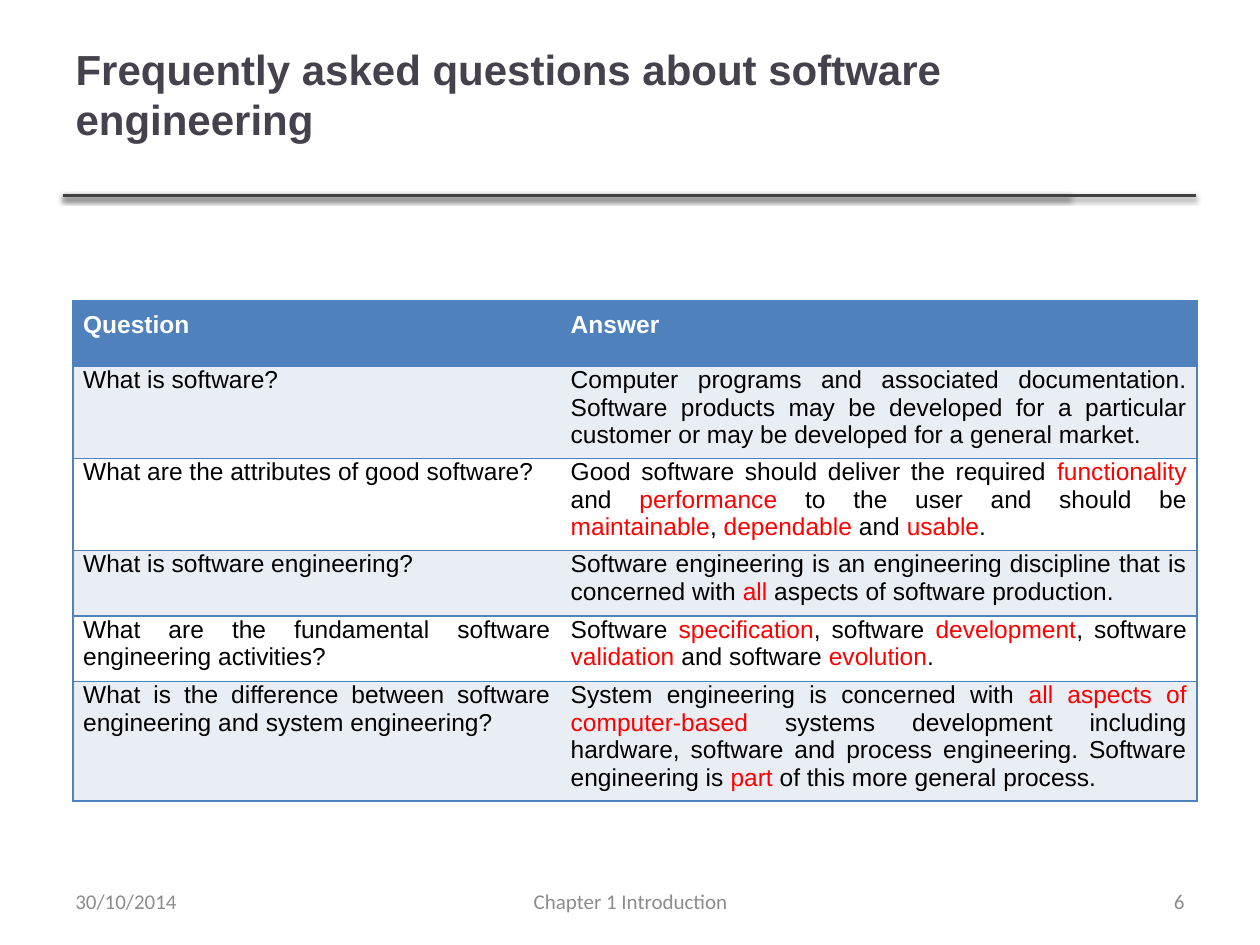
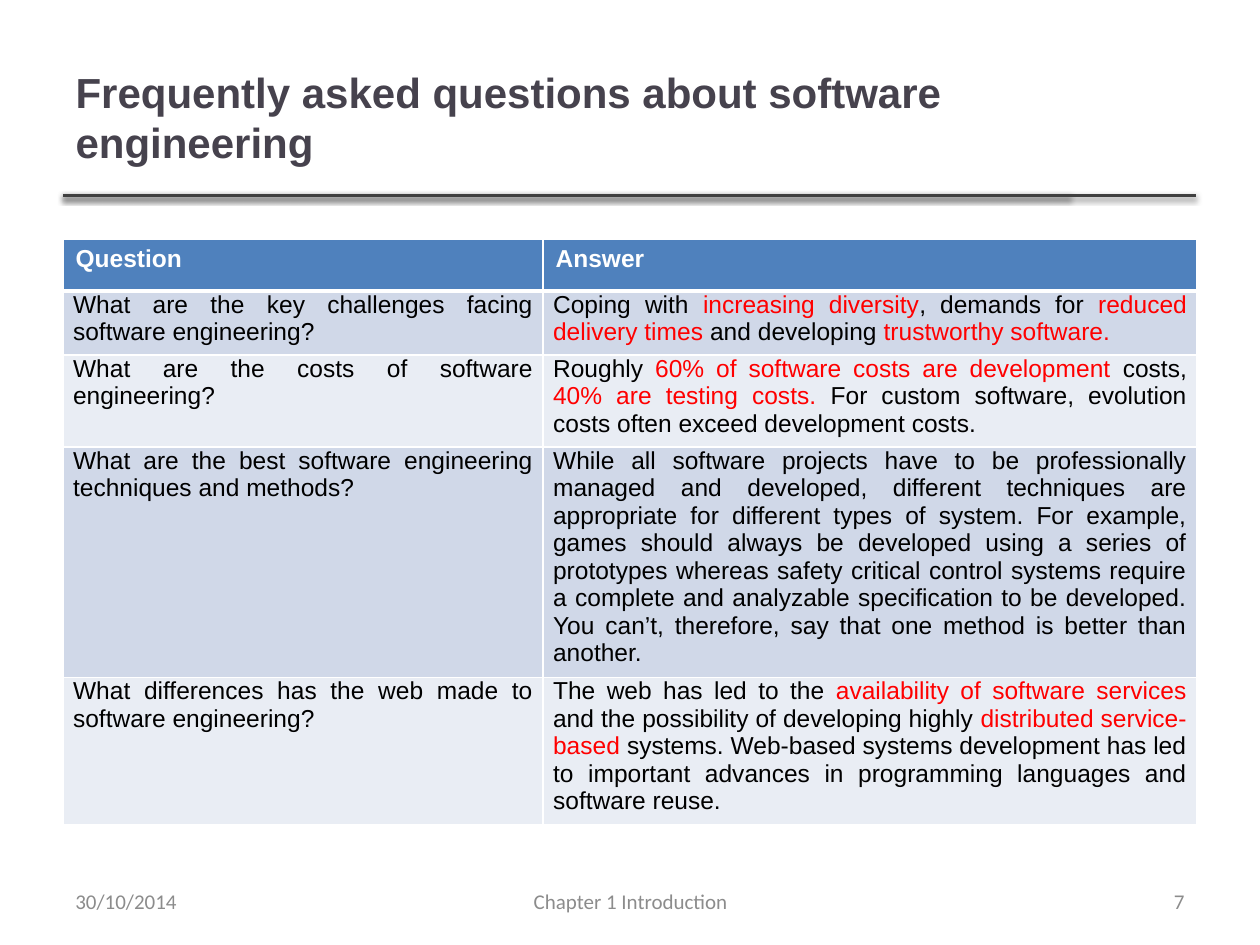
"""Build two slides of frequently asked questions about software engineering."""
from lxml import etree
from pptx import Presentation
from pptx.dml.color import RGBColor
from pptx.enum.shapes import MSO_CONNECTOR
from pptx.enum.text import MSO_ANCHOR, MSO_AUTO_SIZE, PP_ALIGN
from pptx.oxml import parse_xml
from pptx.util import Inches, Pt

LEFT, CENTER, RIGHT, JUSTIFY = PP_ALIGN.LEFT, PP_ALIGN.CENTER, PP_ALIGN.RIGHT, PP_ALIGN.JUSTIFY
MIDDLE, NO_FIT, STRAIGHT = MSO_ANCHOR.MIDDLE, MSO_AUTO_SIZE.NONE, MSO_CONNECTOR.STRAIGHT

NS = "http://schemas.openxmlformats.org/drawingml/2006/main"
WHITE, BLACK, RED = "FFFFFF", "000000", "FF0000"
BLUE, PALE, MID = "4F81BD", "E9EDF4", "D0D8E8"
TITLE_COLOR, RULE_COLOR, FOOTER_COLOR = "46424D", "404040", "8C8C8C"
TITLE = "Frequently asked questions about software engineering"

SLIDES = [
    {
        "number": "6", "title_size": (8.41, 1.29), "title_bottom": 0.45,
        "at": (0.58, 2.39), "cols": (3.87, 5.05),
        "heights": (0.52, 0.73, 0.73, 0.52, 0.52, 0.95),
        "bands": (PALE, WHITE), "border": BLUE, "inner": False, "header_rule": 1,
        "header_margins": (0.08, 0.08), "header_align": JUSTIFY,
        "rows": [
            ("What is software?",
             "Computer programs and associated documentation. Software products may be "
             "developed for a particular customer or may be developed for a general market."),
            ("What are the attributes of good software?",
             "Good software should deliver the required *functionality* and *performance* to "
             "the user and should be *maintainable*, *dependable* and *usable*."),
            ("What is software engineering?",
             "Software engineering is an engineering discipline that is concerned with *all* "
             "aspects of software production."),
            ("What are the fundamental software engineering activities?",
             "Software *specification*, software *development*, software *validation* and "
             "software *evolution*."),
            ("What is the difference between software engineering and system engineering?",
             "System engineering is concerned with *all aspects of computer-based* systems "
             "development including hardware, software and process engineering. Software "
             "engineering is *part* of this more general process."),
        ],
    },
    {
        "number": "7", "title_size": (7.98, 1.25), "title_bottom": 0.05,
        "at": (0.5, 1.9), "cols": (3.81, 5.19),
        "heights": (0.41, 0.5, 0.73, 1.83, 1.17),
        "bands": (MID, PALE), "border": WHITE, "inner": True, "header_rule": 3,
        "header_margins": (0.1, 0.05), "header_align": LEFT,
        "rows": [
            ("What are the key challenges facing software engineering?",
             "Coping with *increasing diversity*, demands for *reduced delivery times *and "
             "developing *trustworthy software.*"),
            ("What are the costs of software engineering?",
             "Roughly *60% of software costs are development *costs, *40% are testing costs. "
             "*For custom software, evolution costs often exceed development costs."),
            ("What are the best software engineering techniques and methods?",
             "While all software projects have to be professionally managed and developed, "
             "different techniques are appropriate for different types of system. For example, "
             "games should always be developed using a series of prototypes whereas safety "
             "critical control systems require a complete and analyzable specification to be "
             "developed. You can’t, therefore, say that one method is better than another."),
            ("What differences has the web made to software engineering?",
             "The web has led to the *availability of software services *and the possibility of "
             "developing highly *distributed service-based *systems. Web-based systems "
             "development has led to important advances in programming languages and "
             "software reuse."),
        ],
    },
]


def rgb(color):
    return RGBColor.from_string(color)


def write(tf, text, size=14, font="Arial", color=BLACK, bold=False, align=LEFT):
    p = tf.paragraphs[0]
    p.alignment = align
    for i, part in enumerate(text.split("*")):
        if part:
            r = p.add_run()
            r.text = part
            r.font.size = Pt(size)
            r.font.name = font
            r.font.bold = bold
            r.font.color.rgb = rgb(RED if i % 2 else color)


prs = Presentation()
prs.slide_width, prs.slide_height = Inches(10), Inches(7.5)
layout = prs.slide_layouts[5]

for number, data in enumerate(SLIDES):
    s = prs.slides.add_slide(layout)

    if number == 0:
        for end in (8.49, 9.49):
            rule = s.shapes.add_connector(STRAIGHT, Inches(0.5), Inches(1.55), Inches(end), Inches(1.55))
            rule.line.color.rgb = rgb(RULE_COLOR)
            rule.line.width = Pt(2)
            rule.element.spPr.append(parse_xml(
                f'<a:effectLst xmlns:a="{NS}"><a:outerShdw blurRad="{Pt(3.1)}" dist="{Pt(1.6)}" '
                f'dir="5400000" rotWithShape="0"><a:srgbClr val="{BLACK}"><a:alpha val="38000"/>'
                '</a:srgbClr></a:outerShdw></a:effectLst>'))
            layout.element.cSld.spTree.append(rule.element)

    title = s.shapes.title
    title.left, title.top = Inches(0.5), Inches(0.3)
    title.width, title.height = [Inches(v) for v in data["title_size"]]
    tf = title.text_frame
    tf.word_wrap = True
    tf.auto_size = NO_FIT
    tf.vertical_anchor = MIDDLE
    tf.margin_bottom = Inches(data["title_bottom"])
    write(tf, TITLE, size=24, color=TITLE_COLOR, bold=True)

    rows = [("Question", "Answer")] + data["rows"]
    left, top = data["at"]
    table = s.shapes.add_table(len(rows), 2, Inches(left), Inches(top), Inches(sum(data["cols"])),
                               Inches(sum(data["heights"]))).table
    for column, width in zip(table.columns, data["cols"]):
        column.width = Inches(width)
    for i, texts in enumerate(rows):
        table.rows[i].height = Inches(data["heights"][i])
        for j, text in enumerate(texts):
            cell = table.cell(i, j)
            tcPr = cell._tc.get_or_add_tcPr()
            widths = {"L": 1, "R": 1, "T": 1, "B": 1}
            if i < 2:
                widths["T" if i else "B"] = data["header_rule"]
            for side, width in widths.items():
                ln = etree.SubElement(tcPr, f"{{{NS}}}ln{side}", w=str(Pt(width)))
                if data["inner"] or side != "LR"[1 - j]:
                    fill = etree.SubElement(ln, f"{{{NS}}}solidFill")
                    etree.SubElement(fill, f"{{{NS}}}srgbClr", val=data["border"])
                else:
                    etree.SubElement(ln, f"{{{NS}}}noFill")
            cell.fill.solid()
            if i == 0:
                cell.fill.fore_color.rgb = rgb(BLUE)
                side_margin, cell_top = data["header_margins"]
                cell_bottom = cell_top
                write(cell.text_frame, text, color=WHITE, bold=True, align=data["header_align"])
            else:
                cell.fill.fore_color.rgb = rgb(data["bands"][(i - 1) % 2])
                side_margin, cell_top, cell_bottom = 0.08, 0, 0.07
                write(cell.text_frame, text, align=JUSTIFY)
            cell.margin_left = cell.margin_right = Inches(side_margin)
            cell.margin_top, cell.margin_bottom = Inches(cell_top), Inches(cell_bottom)

    for text, x, width, align in (("Chapter 1 Introduction", 3.42, 3.17, CENTER),
                                  ("30/10/2014", 0.5, 2.33, LEFT),
                                  (data["number"], 7.17, 2.33, RIGHT)):
        tf = s.shapes.add_textbox(Inches(x), Inches(6.95), Inches(width), Inches(0.4)).text_frame
        tf.word_wrap = True
        tf.vertical_anchor = MIDDLE
        write(tf, text, size=12, font="Calibri", color=FOOTER_COLOR, align=align)

prs.save("out.pptx")
